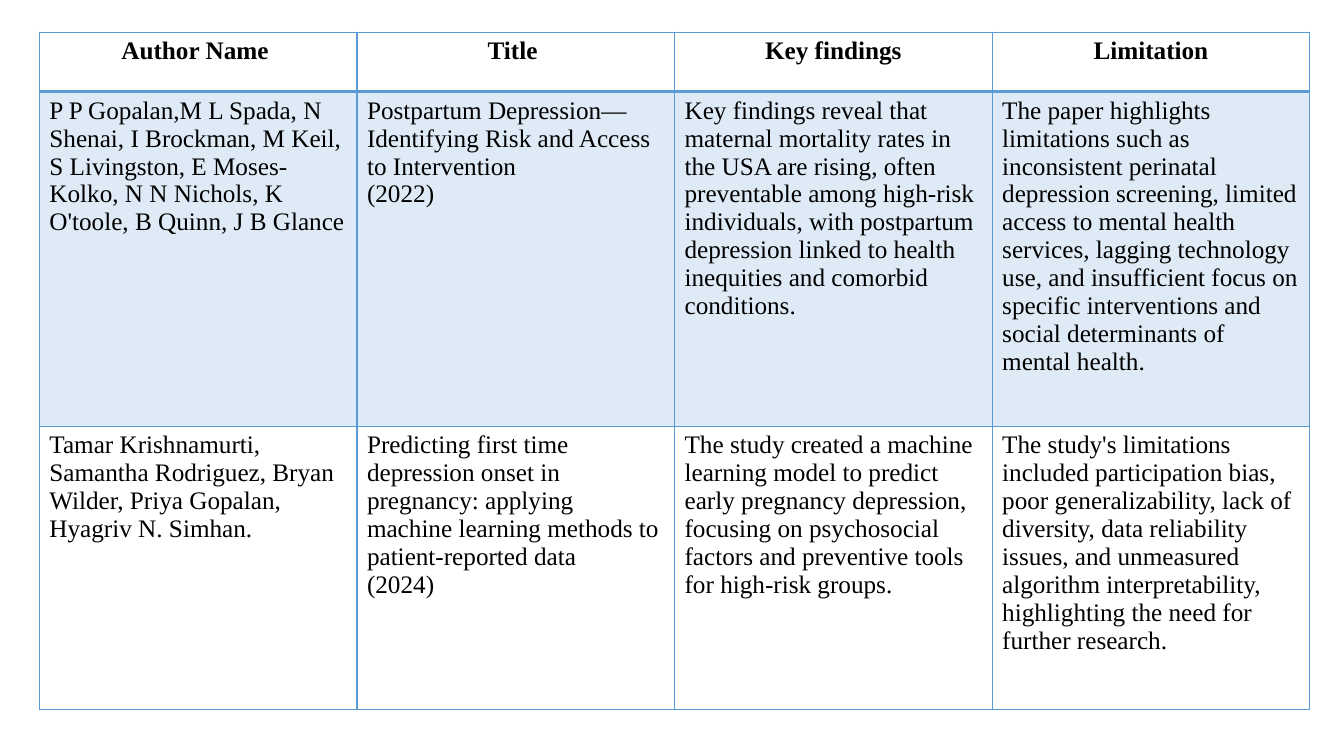
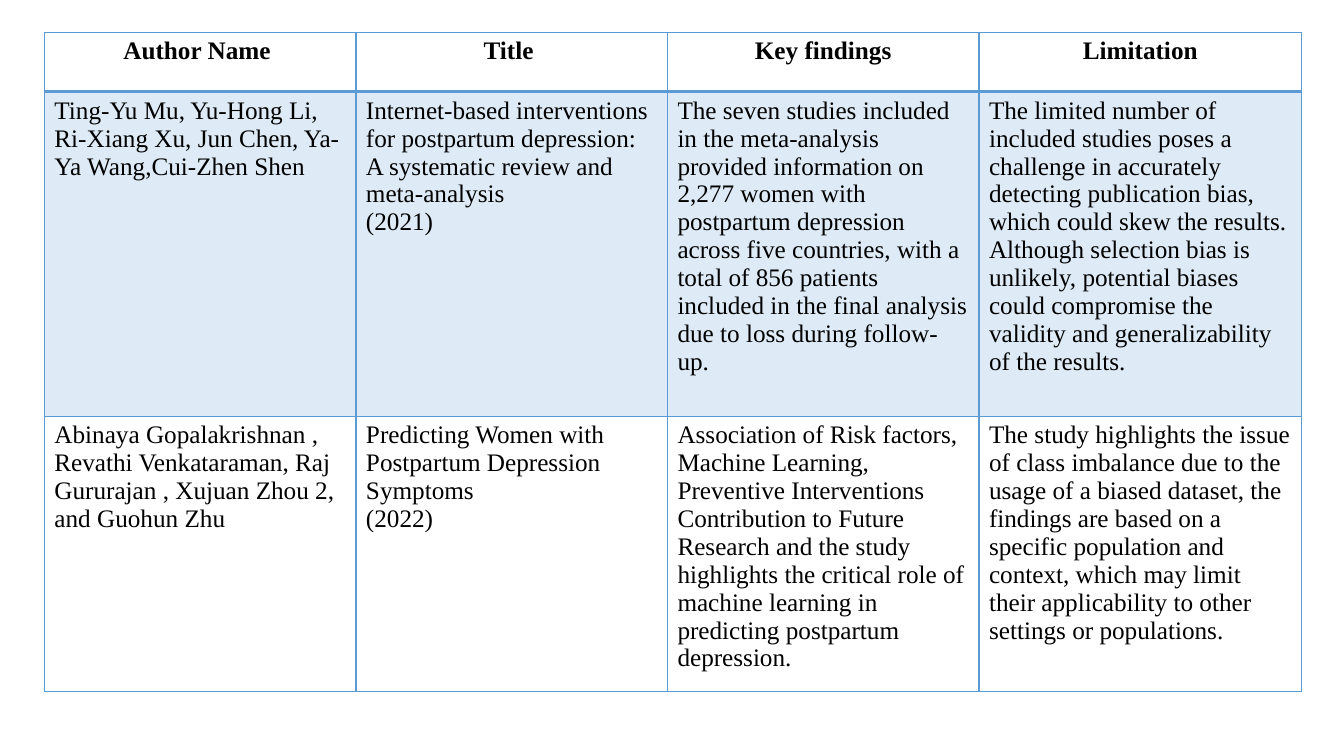
"""Builds two slides of literature review tables."""
from dataclasses import dataclass

from lxml import etree
from pptx import Presentation
from pptx import util as u
from pptx.dml import color
from pptx.enum import text
from pptx.oxml import ns

FONT = "Times New Roman"
INK = "000000"
BLUE = "5B9BD5"
TINT = 20
HEAD = ("Author Name ", "Title ", "Key findings", "Limitation")
TOP = 0.32


@dataclass(frozen=True)
class Paper:
    who: str
    title: str
    found: str
    limit: str

    def cells(self) -> tuple[str, ...]:
        return self.who, self.title, self.found, self.limit


@dataclass(frozen=True)
class Review:
    left: float
    cols: tuple[float, ...]
    rows: tuple[float, ...]
    papers: tuple[Paper, ...]


REVIEWS = (
    Review(0.39, (3.15,) * 4, (0.59, 3.32, 2.81), (
        Paper(
            "P P Gopalan,M L Spada, N Shenai, I Brockman, M Keil, S Livingston, "
            "E Moses-Kolko, N N Nichols, K O'toole, B Quinn, J B Glance",
            "Postpartum Depression—Identifying Risk and Access to Intervention\n(2022)",
            "Key findings reveal that maternal mortality rates in the USA are rising, "
            "often preventable among high-risk individuals, with postpartum depression "
            "linked to health inequities and comorbid conditions.",
            "The paper highlights limitations such as inconsistent perinatal depression "
            "screening, limited access to mental health services, lagging technology use, "
            "and insufficient focus on specific interventions and social determinants of "
            "mental health."),
        Paper(
            "Tamar Krishnamurti, Samantha Rodriguez, Bryan Wilder, Priya Gopalan, "
            "Hyagriv N. Simhan.",
            "Predicting first time depression onset in pregnancy: applying machine "
            "learning methods to patient-reported data\n(2024)",
            "The study created a machine learning model to predict early pregnancy "
            "depression, focusing on psychosocial factors and preventive tools for "
            "high-risk groups.",
            "The study's limitations included participation bias, poor generalizability, "
            "lack of diversity, data reliability issues, and unmeasured algorithm "
            "interpretability, highlighting the need for further research."))),
    Review(0.44, (3.09, 3.09, 3.09, 3.2), (0.59, 3.22, 2.73), (
        Paper(
            "Ting-Yu Mu, Yu-Hong Li, Ri-Xiang Xu, Jun Chen, Ya-Ya Wang,Cui-Zhen Shen",
            "Internet-based interventions for postpartum depression: A systematic review "
            "and meta-analysis\n(2021)",
            "The seven studies included in the meta-analysis provided information on "
            "2,277 women with postpartum depression across five countries, with a total "
            "of 856 patients included in the final analysis due to loss during follow-up.",
            "The limited number of included studies poses a challenge in accurately "
            "detecting publication bias, which could skew the results. Although selection "
            "bias is unlikely, potential biases could compromise the validity and "
            "generalizability of the results."),
        Paper(
            "Abinaya Gopalakrishnan , Revathi Venkataraman, Raj Gururajan , Xujuan Zhou 2, "
            "and Guohun Zhu",
            "Predicting Women with Postpartum Depression Symptoms\n(2022)",
            "Association of Risk factors, Machine Learning, Preventive Interventions "
            "Contribution to Future Research and the study highlights the critical role "
            "of machine learning in predicting postpartum depression.",
            "The study highlights the issue of class imbalance due to the usage of a "
            "biased dataset, the findings are based on a specific population and context, "
            "which may limit their applicability to other settings or populations."))),
)


def rgb(code: str) -> color.RGBColor:
    return color.RGBColor.from_string(code)


def write(frame, words: str, *, size: float = 18, bold: bool = False,
          align=text.PP_ALIGN.LEFT) -> None:
    para = frame.paragraphs[0]
    para.text = words
    para.alignment = align
    for run in para.runs:
        font = run.font
        font.name, font.size, font.bold = FONT, u.Pt(size), bold
        font.color.rgb = rgb(INK)


def edge(cell, base: float) -> None:
    props = cell._tc.get_or_add_tcPr()
    for side, wide in (("L", 1), ("R", 1), ("T", 1), ("B", base)):
        line = etree.SubElement(props, ns.qn(f"a:ln{side}"), w=str(u.Pt(wide)))
        fill = etree.SubElement(line, ns.qn("a:solidFill"))
        etree.SubElement(fill, ns.qn("a:srgbClr"), val=BLUE)


def shade(cell, tint: int) -> None:
    if not tint:
        cell.fill.background()
        return
    cell.fill.solid()
    cell.fill.fore_color.rgb = rgb(BLUE)
    tone = cell._tc.tcPr.find(f"{ns.qn('a:solidFill')}/{ns.qn('a:srgbClr')}")
    etree.SubElement(tone, ns.qn("a:alpha"), val=str(tint * 1000))


def draw(slide, review: Review) -> None:
    grid = (HEAD, *(paper.cells() for paper in review.papers))
    table = slide.shapes.add_table(
        len(grid), len(HEAD), u.Inches(review.left), u.Inches(TOP),
        u.Inches(sum(review.cols)), u.Inches(sum(review.rows))).table
    table.first_row = table.horz_banding = False
    for col, wide in zip(table.columns, review.cols):
        col.width = u.Inches(wide)
    for row, high in zip(table.rows, review.rows):
        row.height = u.Inches(high)
    for r, line in enumerate(grid):
        head = r == 0
        for c, words in enumerate(line):
            cell = table.cell(r, c)
            edge(cell, 2 if head else 1)
            shade(cell, TINT if r % 2 else 0)
            write(cell.text_frame, words, bold=head,
                  align=text.PP_ALIGN.CENTER if head else text.PP_ALIGN.LEFT)


def main() -> None:
    deck = Presentation()
    deck.slide_width, deck.slide_height = u.Inches(13.33), u.Inches(7.5)
    for review in REVIEWS:
        draw(deck.slides.add_slide(deck.slide_layouts[6]), review)
    deck.save("out.pptx")


if __name__ == "__main__":
    main()
